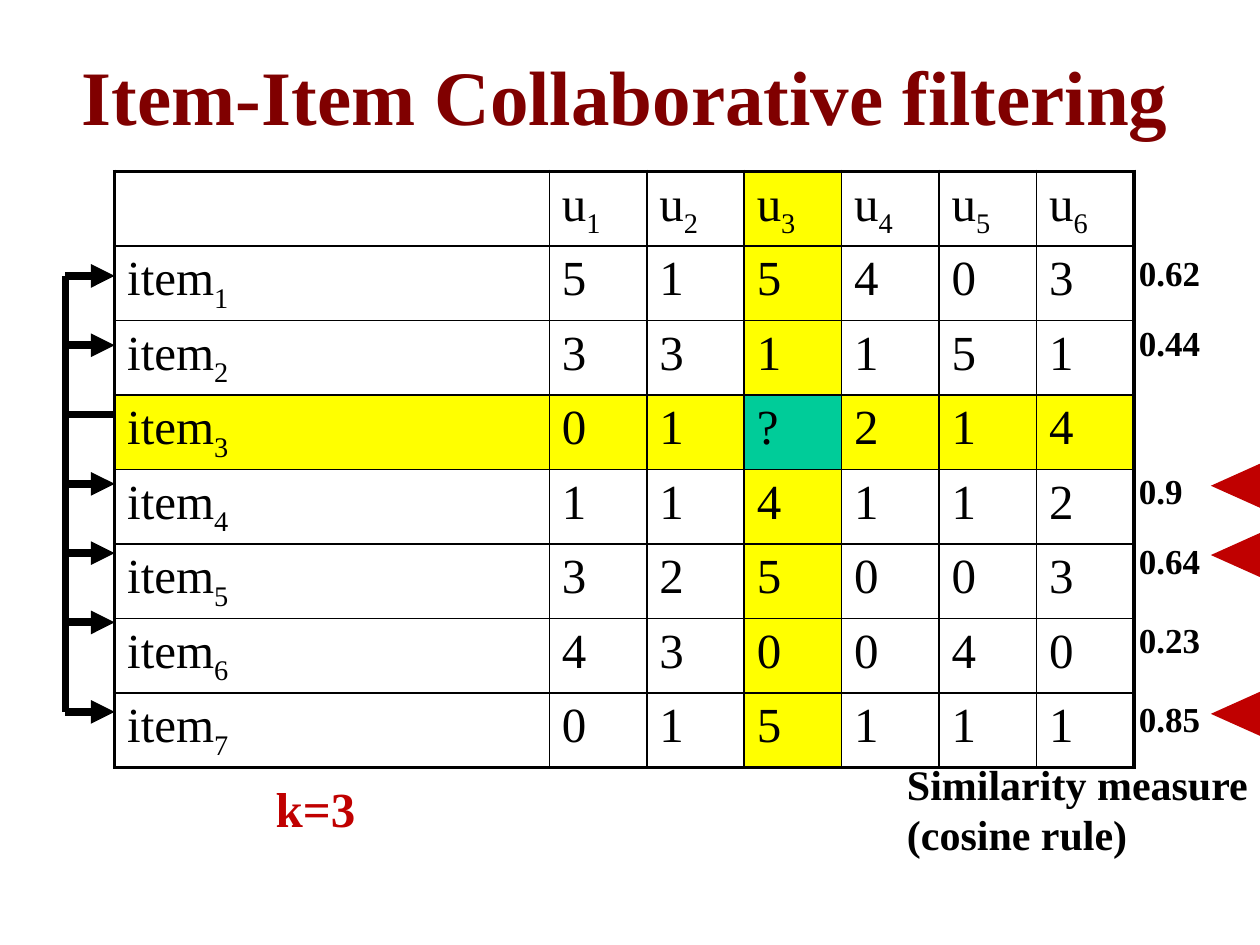
from dataclasses import dataclass

from lxml import etree
from pptx import Presentation, util as u
from pptx.dml.color import RGBColor
from pptx.enum import shapes, text
from pptx.oxml.ns import qn

FONT = "Times New Roman"
HUES = {"ink": "000000", "title": "800000", "mark": "C00000",
        "band": "FFFF00", "goal": "00CC99"}
RATES = ["515403", "331151", "01?214", "114112", "325003", "430040", "015111"]
PICK = 3  # row and column of the rating to predict
LEFT, TOP, WIDE = 0.91, 1.36, 8.09
HEAD, HIGH = 3.45, 0.57
STEM, ROOT = 0.52, 3.29


@dataclass
class Label:
    words: str
    x: float
    y: float
    w: float
    h: float
    size: int = 20
    hue: str = "ink"


@dataclass
class Link:
    """A branch from item 3 to another item, with its similarity."""
    y: float
    score: str
    top: float
    near: float = 0  # top of the marker of a nearest neighbour, if any


LINKS = [
    Link(2.74, "0.44", 2.5), Link(2.19, "0.62", 1.95),
    Link(3.84, "0.9", 3.68, 3.66), Link(4.39, "0.64", 4.23, 4.21),
    Link(4.94, "0.23", 4.86), Link(5.65, "0.85", 5.49, 5.47),
]
TITLE = Label("Item-Item Collaborative filtering", 0.2, 0.13, 9.53, 1.25, 44, "title")
NOTES = [
    Label("Similarity measure\n(cosine rule)", 7.1, 5.97, 2.93, 0.91, 24),
    Label("k=3", 2.09, 6.13, 0.84, 0.57, 28, "mark"),
]


def tint(hue: str) -> RGBColor:
    return RGBColor.from_string(HUES[hue])


def style(run, size: int, hue: str = "ink", bold: bool = False) -> None:
    for key, val in {"name": FONT, "size": u.Pt(size), "bold": bold}.items():
        setattr(run.font, key, val)
    run.font.color.rgb = tint(hue)


def add_label(slide, item: Label, wrap: bool = False):
    box = slide.shapes.add_textbox(*map(u.Inches, (item.x, item.y, item.w, item.h)))
    frame = box.text_frame
    frame.text = item.words
    frame.word_wrap = wrap
    if not wrap:
        frame.auto_size = text.MSO_AUTO_SIZE.SHAPE_TO_FIT_TEXT
    for para in frame.paragraphs:
        for run in para.runs:
            style(run, item.size, item.hue, True)
    return frame


def add_line(slide, x1: float, y1: float, x2: float, y2: float, arrow: bool = False) -> None:
    line = slide.shapes.add_connector(
        shapes.MSO_CONNECTOR.STRAIGHT, *map(u.Inches, (x1, y1, x2, y2)))
    line.line.width = u.Pt(4.5)
    line.line.color.rgb = tint("ink")
    if arrow:
        etree.SubElement(line.line._get_or_add_ln(), qn("a:tailEnd"), type="triangle")
    etree.SubElement(line._element.spPr, qn("a:effectLst"))


def add_mark(slide, y: float) -> None:
    mark = slide.shapes.add_shape(
        shapes.MSO_SHAPE.ISOSCELES_TRIANGLE, *map(u.Inches, (9.63, y, 0.35, 0.39)))
    mark.rotation = 270
    mark.shadow.inherit = False
    mark.fill.solid()
    mark.fill.fore_color.rgb = tint("mark")
    mark.line.fill.background()


def set_edges(cell, outer: dict[str, bool]) -> None:
    """Draw the four borders, thicker on the table's outer sides."""
    props = cell._tc.get_or_add_tcPr()
    for side, thick in outer.items():
        edge = etree.SubElement(props, qn(f"a:ln{side}"), w=str(u.Pt(2.25 if thick else 1)))
        fill = etree.SubElement(edge, qn("a:solidFill"))
        etree.SubElement(fill, qn("a:srgbClr"), val=HUES["ink"])


def set_text(cell, word: str, sub: str) -> None:
    para = cell.text_frame.paragraphs[0]
    gap = etree.SubElement(para._p.get_or_add_pPr(), qn("a:spcBef"))
    etree.SubElement(gap, qn("a:spcPct"), val="20000")
    for part, base in ((word, "0"), (sub, "-25000")):
        if part:
            run = para.add_run()
            run.text = part
            style(run, 28)
            run.font._element.set("baseline", base)


def add_grid(slide) -> None:
    rows, cols = len(RATES) + 1, len(RATES[0]) + 1
    grid = slide.shapes.add_table(
        rows, cols, *map(u.Inches, (LEFT, TOP, WIDE, rows * HIGH))).table
    grid.first_row = grid.horz_banding = False
    for c, col in enumerate(grid.columns):
        col.width = u.Inches((WIDE - HEAD) / (cols - 1) if c else HEAD)
    for r, row in enumerate(grid.rows):
        row.height = u.Inches(HIGH)
        for c, cell in enumerate(row.cells):
            cell.margin_bottom = u.Inches(0.01)  # keeps the text within the row height
            set_edges(cell, {"L": c == 0, "R": c == cols - 1,
                             "T": r == 0, "B": r == rows - 1})
            if r and c:
                set_text(cell, RATES[r - 1][c - 1], "")
            elif r or c:
                set_text(cell, "item" if r else "u", str(r or c))
            if PICK in (r, c):
                cell.fill.solid()
                cell.fill.fore_color.rgb = tint("goal" if r == c else "band")
            else:
                cell.fill.background()


def main() -> None:
    deck = Presentation()
    deck.slide_width, deck.slide_height = u.Inches(10), u.Inches(7.5)
    slide = deck.slides.add_slide(deck.slide_layouts[6])

    frame = add_label(slide, TITLE, wrap=True)
    frame.vertical_anchor = text.MSO_ANCHOR.MIDDLE
    frame.paragraphs[0].alignment = text.PP_ALIGN.CENTER

    add_grid(slide)
    add_line(slide, LEFT, ROOT, STEM, ROOT)
    for link in LINKS:
        add_line(slide, STEM, ROOT, STEM, link.y)
        add_line(slide, STEM, link.y, LEFT, link.y, arrow=True)
        wide = 0.69 if len(link.score) > 3 else 0.55
        add_label(slide, Label(link.score, 8.94, link.top, wide, 0.43))
        if link.near:
            add_mark(slide, link.near)
    for note in NOTES:
        add_label(slide, note)
    deck.save("out.pptx")


if __name__ == "__main__":
    main()
